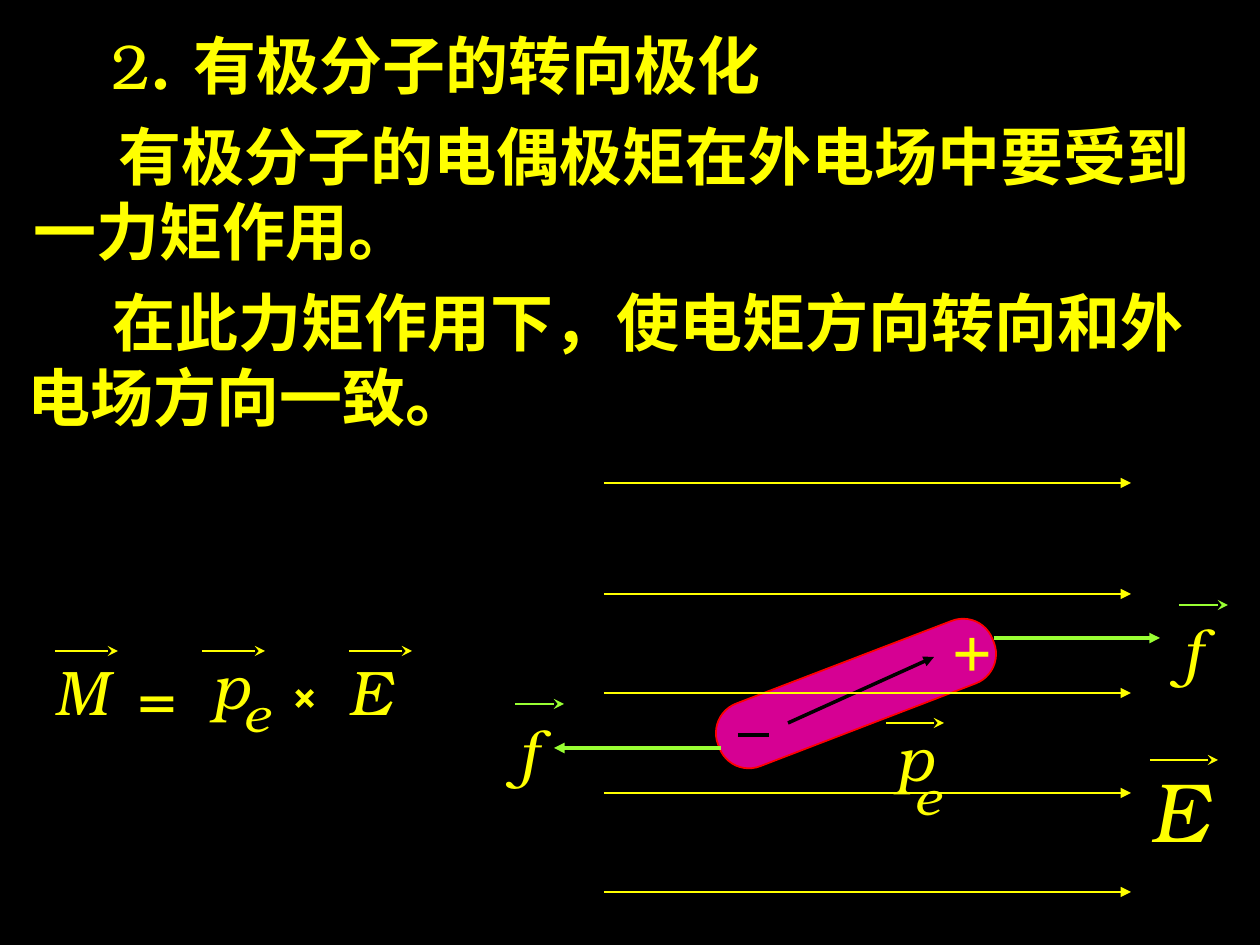
from lxml import etree
from pptx import Presentation
from pptx.dml.color import RGBColor as RGB
from pptx.enum.shapes import MSO_CONNECTOR as CONN, MSO_SHAPE as SHAPE
from pptx.oxml.ns import qn
from pptx.util import Emu, Pt

SCALE = 914400 / 126
FONT = "TeX Gyre Bonum"
BLACK = RGB(0x00, 0x00, 0x00)
YELLOW = RGB(0xFF, 0xFF, 0x00)
GREEN = RGB(0x99, 0xFF, 0x33)
MAGENTA = RGB(0xD6, 0x00, 0x93)
RED = RGB(0xFF, 0x00, 0x00)


def px(n):
    return Emu(round(n * SCALE))


def add_run(p, text, size=36, **fmt):
    r = p.add_run()
    r.text = text
    r.font.color.rgb = YELLOW
    for key, value in {"name": FONT, "size": Pt(size), **fmt}.items():
        setattr(r.font, key, value)
    etree.SubElement(r._r.get_or_add_rPr(), qn("a:ea"), typeface=FONT)


def add_box(s, x, y, w, h):
    tf = s.shapes.add_textbox(px(x), px(y), px(w), px(h)).text_frame
    tf.word_wrap = True
    return tf


def add_glyph(s, x, y, text, size=36, w=80, h=88, **fmt):
    add_run(add_box(s, x, y, w, h).paragraphs[0], text, size, **fmt)


def add_line(s, x1, y1, x2, y2, color=YELLOW, width=1, head=None):
    c = s.shapes.add_connector(CONN.STRAIGHT, px(x1), px(y1), px(x2), px(y2))
    c.line.color.rgb = color
    c.line.width = Pt(width)
    if head:
        etree.SubElement(c.line._get_or_add_ln(), qn("a:tailEnd"), type=head)
    etree.SubElement(c._element.spPr, qn("a:effectLst"))


def add_vector_bar(s, x, y, length, color=YELLOW):
    add_line(s, x, y, x + length, y, color, head="stealth")


def add_passage(s, x, y, w, h, lines, indent):
    """Text whose first line is indented; each line is a list of (text, bold)."""
    tf = add_box(s, x, y, w, h)
    for i, runs in enumerate(lines):
        p = tf.paragraphs[0] if i == 0 else tf.add_paragraph()
        if i == 0:
            p._p.get_or_add_pPr().set("indent", str(px(indent)))
        for text, bold in runs:
            add_run(p, text, bold=bold)


def add_dipole_moment(s, x, y, sub_x, sub_y):
    add_glyph(s, x, y, "p", italic=True)
    add_glyph(s, x + sub_x, y + sub_y, "e", 28, h=72, italic=True)


def add_formula(s, x, y):
    add_glyph(s, x, y + 6, "M", italic=True)
    add_glyph(s, x + 84, y + 11, "=")
    add_dipole_moment(s, x + 157, y, 32, 37)
    add_glyph(s, x + 238, y + 21, "×", 24, h=63, bold=True)
    add_glyph(s, x + 294, y + 6, "E", italic=True)
    for i in range(3):
        add_vector_bar(s, x + 13 + i * 147, y + 11, 63)


def add_force(s, x, y, bar_y):
    add_glyph(s, x, y, "f", w=47, italic=True)
    add_vector_bar(s, x + 11, bar_y, 49, GREEN)


def add_diagram(s, x, y):
    # Dipole
    body = s.shapes.add_shape(SHAPE.ROUNDED_RECTANGLE,
                              px(x + 205), px(y + 177), px(294), px(67))
    body.adjustments[0] = 0.47
    body.rotation = 339
    body.shadow.inherit = False
    body.fill.solid()
    body.fill.fore_color.rgb = MAGENTA
    body.line.color.rgb = RED
    body.line.width = Pt(1)
    add_glyph(s, x + 437, y + 118, "+")
    add_line(s, x + 234, y + 252, x + 265, y + 252, BLACK, 2)
    add_line(s, x + 284, y + 240, x + 430, y + 174, BLACK, 2, "triangle")
    add_dipole_moment(s, x + 379, y + 229, 19, 48)
    add_vector_bar(s, x + 382, y + 240, 58)

    # Pair of forces
    add_line(s, x + 490, y + 155, x + 656, y + 155, GREEN, 2, "triangle")
    add_line(s, x + 217, y + 265, x + 50, y + 265, GREEN, 2, "triangle")
    add_force(s, x, y + 224, y + 221)
    add_force(s, x + 664, y + 123, y + 122)

    # External field
    for dy in (0, 111, 210, 310, 409):
        add_line(s, x + 100, y + dy, x + 627, y + dy, head="triangle")
    add_glyph(s, x + 634, y + 269, "E", 48, 90, 113, italic=True)
    add_vector_bar(s, x + 646, y + 277, 68)


def main():
    prs = Presentation()
    prs.slide_width, prs.slide_height = px(1260), px(945)
    s = prs.slides.add_slide(prs.slide_layouts[6])
    s.background.fill.solid()
    s.background.fill.fore_color.rgb = BLACK

    add_passage(s, 19, 20, 900, 88,
                [[("2", False), (". 有极分子的转向极化", True)]], 80)
    add_passage(s, 21, 111, 1200, 164,
                [[("有极分子的电偶极矩在外电场中要受到", True)],
                 [("一力矩作用。", True)]], 85)
    add_passage(s, 15, 277, 1200, 164,
                [[("在此力矩作用下，使电矩方向转向和外", True)],
                 [("电场方向一致。", True)]], 85)
    add_formula(s, 42, 640)
    add_diagram(s, 504, 483)
    prs.save("out.pptx")


if __name__ == "__main__":
    main()
